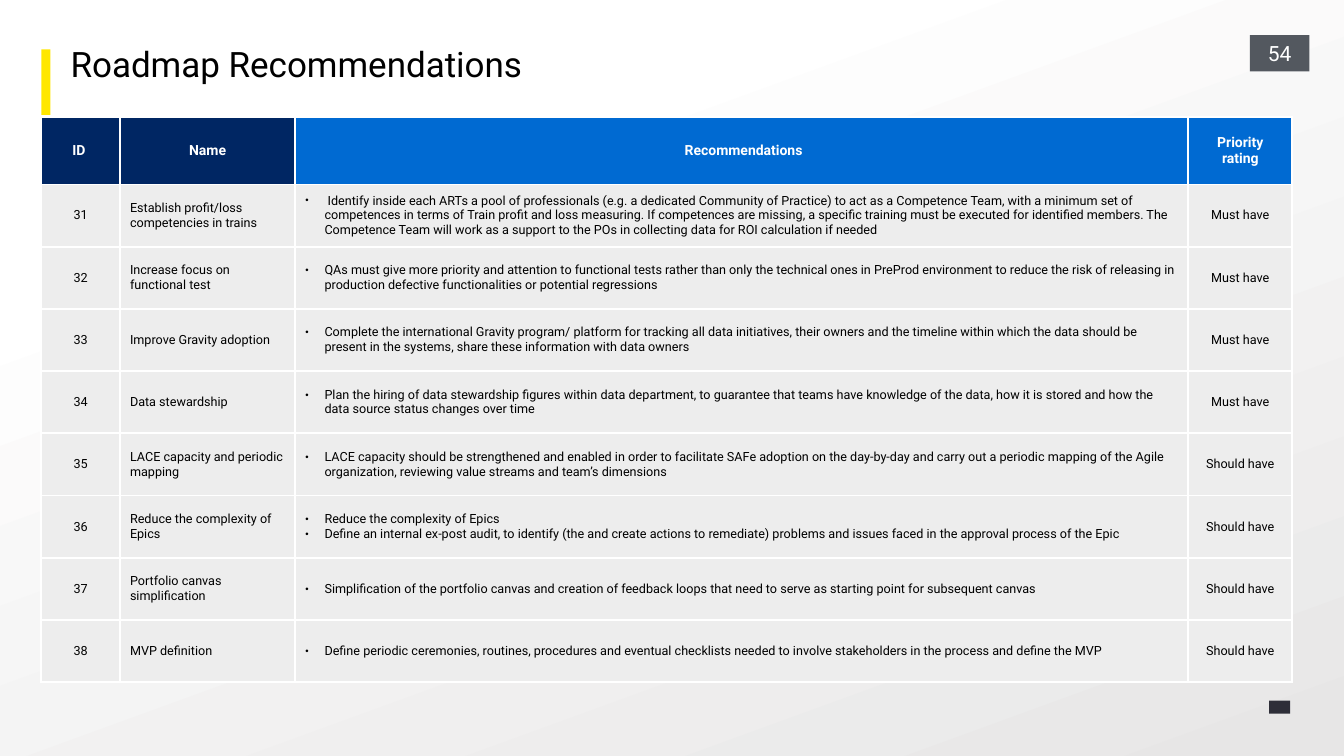
from lxml import etree
from pptx import Presentation
from pptx.dml.color import RGBColor
from pptx.enum.shapes import MSO_SHAPE as Shape
from pptx.enum.text import MSO_ANCHOR as Anchor, MSO_AUTO_SIZE as AutoSize, PP_ALIGN as Align
from pptx.oxml.ns import qn
from pptx.util import Inches, Pt

TITLE = "Roadmap Recommendations"
PAGE_NUMBER = "54"
FONT = "Roboto"
HEADERS = [("ID ", "002663"), ("Name", "002663"),
           (" Recommendations", "006AD2"), ("Priority rating", "006AD2")]
ROWS = [
    ("31", "Establish profit/loss competencies in trains",
     [" Identify inside each ARTs a pool of professionals (e.g. a dedicated Community of Practice) "
      "to act as a Competence Team, with a minimum set of competences in terms of Train profit and "
      "loss measuring. If competences are missing, a specific training must be executed for "
      "identified members. The Competence Team will work as a support to the POs in collecting "
      "data for ROI calculation if needed"], "Must have"),
    ("32", "Increase focus on functional test",
     ["QAs must give more priority and attention to functional tests rather than only the "
      "technical ones in PreProd environment to reduce the risk of releasing in production "
      "defective functionalities or potential regressions"], "Must have"),
    ("33", "Improve Gravity adoption",
     ["Complete the international Gravity program/ platform for tracking all data initiatives, "
      "their owners and the timeline within which the data should be present in the systems, "
      "share these information with data owners"], "Must have"),
    ("34", "Data stewardship",
     ["Plan the hiring of data stewardship figures within data department, to guarantee that "
      "teams have knowledge of the data, how it is stored and how the data source status changes "
      "over time"], "Must have"),
    ("35", "LACE capacity and periodic mapping",
     ["LACE capacity should be strengthened and enabled in order to facilitate SAFe adoption on "
      "the day-by-day and carry out a periodic mapping of the Agile organization, reviewing value "
      "streams and team’s dimensions"], "Should have"),
    ("36", "Reduce the complexity of Epics",
     ["Reduce the complexity of Epics",
      "Define an internal ex-post audit, to identify (the and create actions to remediate) "
      "problems and issues faced in the approval process of the Epic"], "Should have"),
    ("37", "Portfolio canvas simplification",
     ["Simplification of the portfolio canvas and creation of feedback loops that need to serve "
      "as starting point for subsequent canvas"], "Should have"),
    ("38", "MVP definition",
     ["Define periodic ceremonies, routines, procedures and eventual checklists needed to involve "
      "stakeholders in the process and define the MVP"], "Should have"),
]
COLUMN_WIDTHS = [0.78, 1.74, 8.86, 1.03]
COLUMN_ALIGNS = [Align.CENTER, Align.LEFT, Align.LEFT, Align.CENTER]
COLUMN_INSETS = [(0.1, 0.05), (0.1, 0.05), (0.1, 0), (0.01, 0)]
BULLET_COLUMN = 2
TABLE_LEFT, TABLE_TOP, TABLE_HEIGHT, HEADER_HEIGHT = 0.41, 1.16, 5.61, 0.67


def color(value):
    return RGBColor.from_string(value)


def style(para, size, ink, align=Align.LEFT, bold=False):
    para.alignment = align
    font = para.font
    font.name, font.size, font.bold = FONT, Pt(size), bold
    font.color.rgb = color(ink)


def add_block(slide, left, top, width, height, fill):
    block = slide.shapes.add_shape(Shape.RECTANGLE, *map(Inches, (left, top, width, height)))
    block.shadow.inherit = False
    block.fill.solid()
    block.fill.fore_color.rgb = color(fill)
    block.line.fill.background()
    return block


def set_insets(target, horizontal, vertical):
    target.margin_left = target.margin_right = Inches(horizontal)
    target.margin_top = target.margin_bottom = Inches(vertical)


def add_bullet(para):
    properties = para._p.get_or_add_pPr()
    properties.set("marL", str(Inches(0.19)))
    properties.set("indent", str(-Inches(0.19)))
    etree.SubElement(properties, qn("a:buSzPct"), val="75000")
    etree.SubElement(properties, qn("a:buFont"), typeface="Arial")
    etree.SubElement(properties, qn("a:buChar"), char="•")


def add_borders(cell):
    properties = cell._tc.get_or_add_tcPr()
    for side in ("lnL", "lnR", "lnT", "lnB"):
        line = etree.SubElement(properties, qn(f"a:{side}"), w=str(Pt(1.5)))
        fill = etree.SubElement(line, qn("a:solidFill"))
        etree.SubElement(fill, qn("a:srgbClr"), val="FFFFFF")


def fill_cell(cell, lines, insets, fill, size, ink, align, bold=False, bullets=False):
    add_borders(cell)
    cell.fill.solid()
    cell.fill.fore_color.rgb = color(fill)
    cell.vertical_anchor = Anchor.MIDDLE
    set_insets(cell, *insets)
    cell.text_frame.text = "\n".join(lines)
    for para in cell.text_frame.paragraphs:
        if bullets:
            add_bullet(para)
        style(para, size, ink, align, bold)


def add_background(slide):
    fill = slide.background.fill
    fill.gradient()
    fill.gradient_angle = 290
    for stop, (position, shade) in zip(fill.gradient_stops, [(0.23, "FFFFFF"), (1, "E7E6E6")]):
        stop.position = position
        stop.color.rgb = color(shade)


def add_title(slide):
    title = slide.shapes.title
    title.left, title.top, title.width, title.height = map(Inches, (0.7, 0.49, 12.12, 0.94))
    frame = title.text_frame
    frame.text = TITLE
    frame.auto_size = AutoSize.NONE
    frame.vertical_anchor = Anchor.TOP
    set_insets(frame, 0, 0)
    para = frame.paragraphs[0]
    para.line_spacing = 0.85
    style(para, 25, "000000")


def add_page_number(slide):
    frame = add_block(slide, 12.4, 0.35, 0.59, 0.36, "53585F").text_frame
    frame.text = PAGE_NUMBER
    frame.vertical_anchor = Anchor.MIDDLE
    set_insets(frame, 0.06, 0.06)
    style(frame.paragraphs[0], 15, "FFFFFF", Align.CENTER)


def add_recommendations(slide):
    area = map(Inches, (TABLE_LEFT, TABLE_TOP, sum(COLUMN_WIDTHS), TABLE_HEIGHT))
    table = slide.shapes.add_table(len(ROWS) + 1, len(HEADERS), *area).table
    table.first_row = table.horz_banding = False
    for column, width in zip(table.columns, COLUMN_WIDTHS):
        column.width = Inches(width)
    for row in table.rows:
        row.height = Inches((TABLE_HEIGHT - HEADER_HEIGHT) / len(ROWS))
    table.rows[0].height = Inches(HEADER_HEIGHT)
    for index, (text, fill) in enumerate(HEADERS):
        fill_cell(table.cell(0, index), [text], (0.1, 0.05), fill, 10, "FFFFFF", Align.CENTER, bold=True)
    for row_index, (number, name, advice, priority) in enumerate(ROWS, 1):
        for index, lines in enumerate(([number], [name], advice, [priority])):
            fill_cell(table.cell(row_index, index), lines, COLUMN_INSETS[index], "EDEDED", 9,
                      "000000", COLUMN_ALIGNS[index], bullets=index == BULLET_COLUMN)


def main():
    """Build the roadmap recommendations slide."""
    deck = Presentation()
    deck.slide_width, deck.slide_height = Inches(40 / 3), Inches(7.5)
    slide = deck.slides.add_slide(deck.slide_layouts[5])
    add_background(slide)
    add_block(slide, TABLE_LEFT, 0.49, 0.09, 0.65, "FFE700")
    add_page_number(slide)
    add_block(slide, 12.59, 6.95, 0.21, 0.13, "2E2E38")
    add_title(slide)
    add_recommendations(slide)
    deck.save("out.pptx")


if __name__ == "__main__":
    main()
